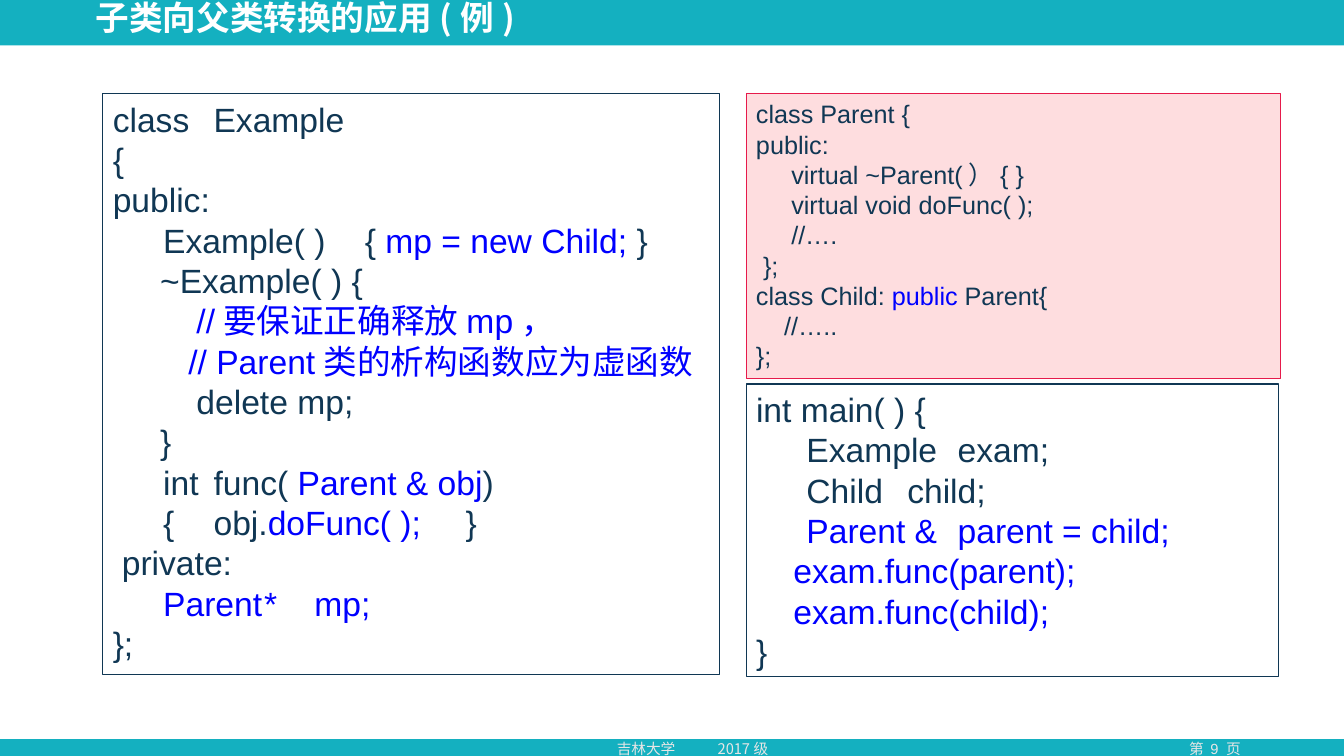
from lxml import etree
from pptx import Presentation, util as u
from pptx.dml.color import RGBColor
from pptx.enum import shapes, text
from pptx.oxml import ns

TEAL, WHITE, NAVY, BLUE, PALE = "14B0C0", "FFFFFF", "103754", "0000FF", "E7E6E6"
CJK = "Noto Sans CJK SC"


def color(value):
    return RGBColor.from_string(value)


def write(para, words, size, font, hues, indent=0, stops=(), bold=False):
    props = para._p.get_or_add_pPr()
    props.set("marL", str(u.Inches(indent)))
    props.set("indent", "0")
    if stops:
        tabs = etree.SubElement(props, ns.qn("a:tabLst"))
        for stop in stops:
            etree.SubElement(tabs, ns.qn("a:tab"), pos=str(u.Inches(stop)), algn="l")
    for index, words_part in enumerate(words.split("|")):
        if not words_part:
            continue
        span = para.add_run()
        span.text = words_part
        span.font.size = u.Pt(size)
        span.font.name = font
        span.font.bold = bold
        span.font.color.rgb = color(hues[index % 2])
        east = etree.SubElement(span._r.get_or_add_rPr(), ns.qn("a:ea"))
        east.set("typeface", CJK)


deck = Presentation()
deck.slide_width, deck.slide_height = u.Inches(13.33), u.Inches(7.5)
page = deck.slides.add_slide(deck.slide_layouts[6])

for top, height, fill in [(0, 7.5, TEAL), (0.45, 6.88, WHITE)]:
    band = page.shapes.add_shape(
        shapes.MSO_SHAPE.RECTANGLE, 0, u.Inches(top), u.Inches(13.33), u.Inches(height))
    band.shadow.inherit = False
    band.fill.solid()
    band.fill.fore_color.rgb = color(fill)
    band.line.fill.background()

labels = [
    ((11.32, 7.29, 1.46, 0.28), "第 9 页", 10.5, "Arial", PALE, (), text.PP_ALIGN.CENTER),
    ((6.02, 7.29, 1.84, 0.28), "吉林大学\t2017级", 10.5, CJK, PALE, (0.77,), text.PP_ALIGN.LEFT),
    ((0.85, 0, 12.27, 0.39), "子类向父类转换的应用(例)", 24, CJK, WHITE, (), text.PP_ALIGN.LEFT),
]
for place, words, size, font, hue, stops, align in labels:
    box = page.shapes.add_textbox(*map(u.Inches, place))
    box.text_frame.word_wrap = True
    box.text_frame.vertical_anchor = text.MSO_ANCHOR.MIDDLE
    para = box.text_frame.paragraphs[0]
    para.alignment = align
    is_title = size == 24
    if is_title:
        para.line_spacing = 0.9
    write(para, words, size, font, (hue, hue), stops=stops, bold=is_title)

# Each code line: left indent, text with | switching to and from blue, tab stops
example_class = [
    (0, "class\tExample", (0.95,)),
    (0, "{", ()),
    (0, "public:", ()),
    (0, "\tExample( )\t{ |mp = new Child;| }", (0.47, 2.35)),
    (0.47, "~Example( ) {", ()),
    (0.83, "|//要保证正确释放mp，", ()),
    (0.75, "|// Parent类的析构函数应为虚函数", ()),
    (0.83, "delete mp;", ()),
    (0.47, "}", ()),
    (0, "\tint\tfunc( |Parent & obj|)", (0.47, 1.09)),
    (0, "\t{\tobj.|doFunc( );|\t}", (0.92, 1.32, 3.84)),
    (0.09, "private:", ()),
    (0, "|\tParent\t*\tmp;", (0.56, 1.82, 2.22)),
    (0, "};", ()),
]
parent_classes = [
    (0, "class Parent {", ()),
    (0, "public:", ()),
    (0.35, "virtual ~Parent(）{ }", ()),
    (0.35, "virtual void doFunc( );", ()),
    (0.35, "//….", ()),
    (0.07, "};", ()),
    (0, "class Child: |public| Parent{", ()),
    (0.28, "//…..", ()),
    (0, "};", ()),
]
main_function = [
    (0, "int main( ) {", ()),
    (0, "\tExample\texam;", (0.37, 1.94)),
    (0, "\tChild\tchild;", (0.37, 1.96)),
    (0, "|\tParent &\tparent = child;", (0.37, 1.86)),
    (0.37, "|exam.func(parent);", ()),
    (0.37, "|exam.func(child);", ()),
    (0, "}", ()),
]

panels = [
    ((1.02, 0.93, 6.12, 5.76), None, NAVY, 24, example_class),
    ((7.4, 0.93, 5.3, 2.83), "FEDDDF", "E61A4B", 18, parent_classes),
    ((7.4, 3.81, 5.28, 2.9), None, NAVY, 24, main_function),
]
for place, fill, edge, size, code in panels:
    panel = page.shapes.add_shape(shapes.MSO_SHAPE.RECTANGLE, *map(u.Inches, place))
    panel.shadow.inherit = False
    if fill:
        panel.fill.solid()
        panel.fill.fore_color.rgb = color(fill)
    else:
        panel.fill.background()
    panel.line.color.rgb = color(edge)
    panel.line.width = u.Pt(0.75)
    frame = panel.text_frame
    frame.word_wrap = True
    frame.vertical_anchor = text.MSO_ANCHOR.TOP
    for number, (indent, words, stops) in enumerate(code):
        para = frame.add_paragraph() if number else frame.paragraphs[0]
        para.alignment = text.PP_ALIGN.LEFT
        para.line_spacing = u.Pt(size * 1.2)
        write(para, words, size, "Arial", (NAVY, BLUE), indent, stops)

deck.save("out.pptx")
